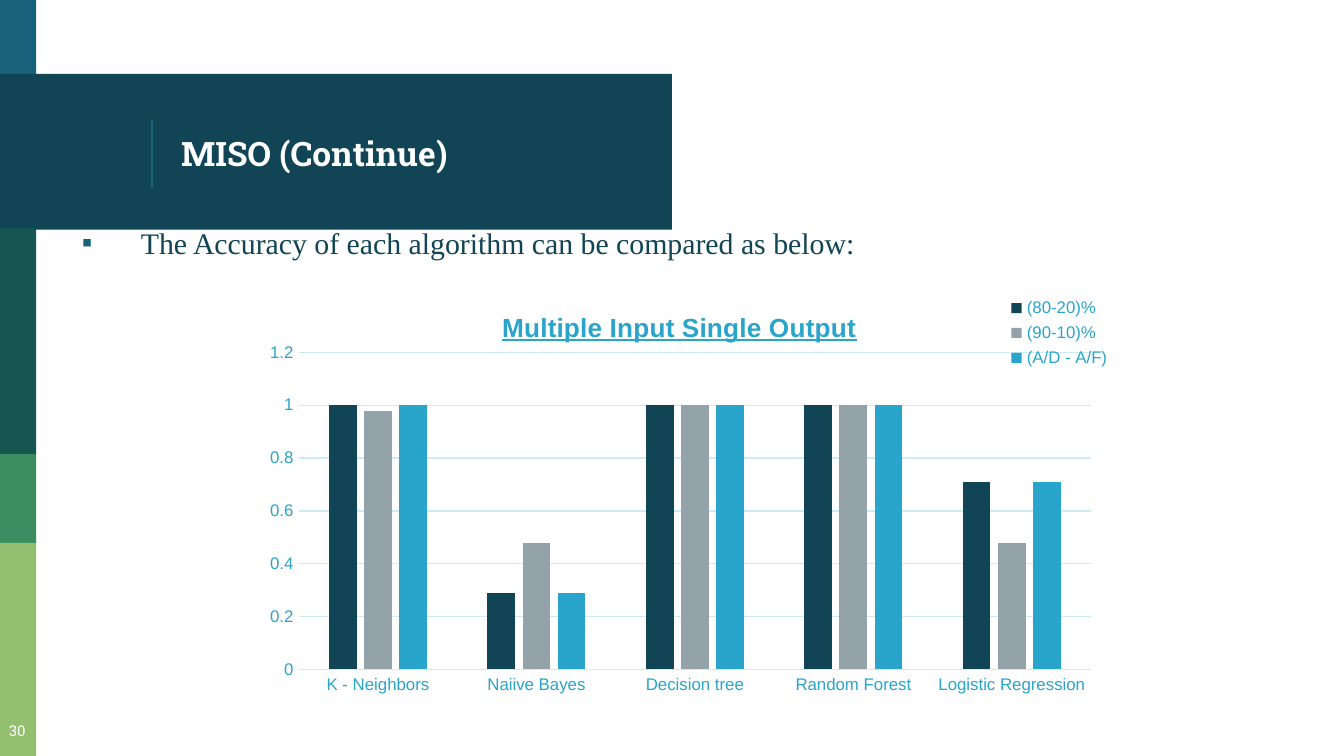
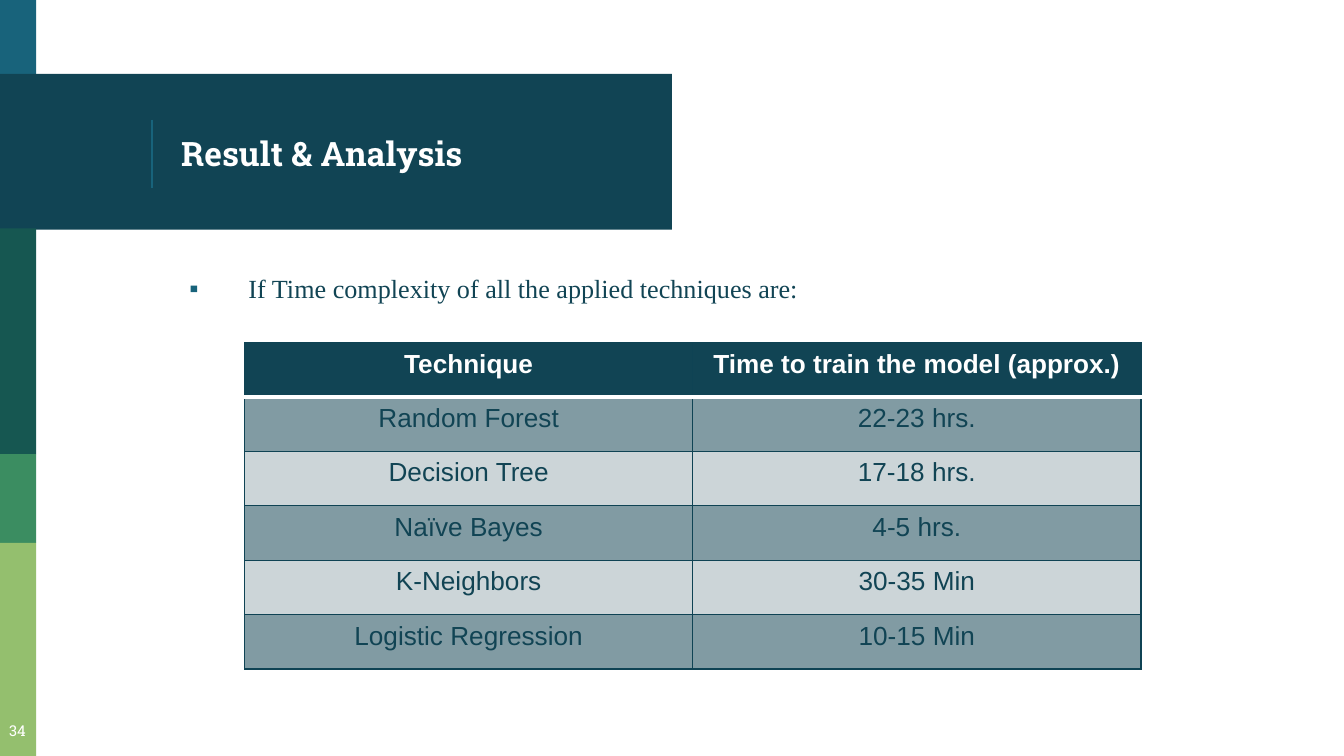
from dataclasses import dataclass

from lxml.etree import SubElement
from pptx import Presentation
from pptx.chart.data import CategoryChartData
from pptx.dml.color import RGBColor
from pptx.enum.chart import XL_CHART_TYPE as ChartType
from pptx.enum.chart import XL_LEGEND_POSITION as LegendPosition
from pptx.enum.chart import XL_TICK_MARK as TickMark
from pptx.enum.shapes import MSO_CONNECTOR as Connector
from pptx.enum.shapes import MSO_SHAPE as Shape
from pptx.enum.text import MSO_ANCHOR as Anchor
from pptx.enum.text import PP_ALIGN as Align
from pptx.oxml import parse_xml
from pptx.oxml.ns import nsdecls, qn
from pptx.util import Inches, Pt


@dataclass(frozen=True)
class Theme:
    navy: str = "114454"
    teal: str = "18637B"
    forest: str = "165751"
    green: str = "3B8D61"
    lime: str = "94BF6E"
    white: str = "FFFFFF"
    grey: str = "93A3A9"
    sky: str = "29A4CB"
    grid: str = "CCEBF5"
    border: str = "0F4354"
    dark_row: str = "819BA3"
    light_row: str = "CCD5D8"
    slab: str = "Roboto Slab"
    serif: str = "Times New Roman"
    sans: str = "Arial"
    title: int = 18
    lead: int = 16
    text: int = 14
    chart: int = 10
    axis: int = 9
    number: int = 8


def set_font(font, color, **values):
    for name, value in values.items():
        setattr(font, name, value)
    font.color.rgb = RGBColor.from_string(color)


def set_layout(parent, position, **values):
    found = parent.find(qn("c:layout"))
    if found is not None:
        parent.remove(found)
    entries = "".join(f'<c:{name} val="{value}"/>' for name, value in values.items())
    parent.insert(position, parse_xml(
        f'<c:layout {nsdecls("c")}><c:manualLayout>{entries}</c:manualLayout></c:layout>'))


class SlideBuilder:
    def __init__(self, deck, theme):
        self.deck = deck
        self.theme = theme
        self.page = None

    def start(self, title, number):
        theme = self.theme
        self.page = self.deck.slides.add_slide(self.deck.slide_layouts[6])
        for top, width, height, color in (
                (0, 0.27, 0.58, theme.teal),
                (0.55, 5, 1.16, theme.navy),
                (1.7, 0.27, 1.68, theme.forest),
                (3.38, 0.27, 0.66, theme.green),
                (4.04, 0.27, 1.59, theme.lime)):
            self.band(top, width, height, color)
        self.line((1.13, 0.89), (1.13, 1.4), theme.teal)
        self.text(title, (1.25, 0.58, 3.51, 1.12), theme.white, anchor=Anchor.MIDDLE,
                  name=theme.slab, size=Pt(theme.title), bold=True)
        self.text(str(number), (-0.06, 5.3, 0.38, 0.35), theme.white, align=Align.CENTER,
                  name=theme.slab, size=Pt(theme.number))

    def band(self, top, width, height, color):
        band = self.page.shapes.add_shape(
            Shape.RECTANGLE, 0, Inches(top), Inches(width), Inches(height))
        band.shadow.inherit = False
        band.fill.solid()
        band.fill.fore_color.rgb = RGBColor.from_string(color)
        band.line.fill.background()

    def line(self, begin, end, color):
        line = self.page.shapes.add_connector(
            Connector.STRAIGHT, *(Inches(value) for value in begin + end))
        line.line.color.rgb = RGBColor.from_string(color)
        line.line.width = Pt(0.75)
        SubElement(line._element.spPr, qn("a:effectLst"))

    def text(self, words, place, color, align=Align.LEFT, anchor=Anchor.TOP,
             bullet=False, **font):
        box = self.page.shapes.add_textbox(*(Inches(value) for value in place))
        frame = box.text_frame
        frame.word_wrap = True
        frame.vertical_anchor = anchor
        for side in ("left", "top", "right", "bottom"):
            setattr(frame, f"margin_{side}", Inches(0.1))
        para = frame.paragraphs[0]
        para.alignment = align
        if bullet:
            self.bullet(para)
        span = para.add_run()
        span.text = words
        set_font(span.font, color, **font)

    def bullet(self, para):
        properties = para._p.get_or_add_pPr()
        properties.set("marL", str(Inches(0.5)))
        properties.set("indent", str(Inches(-0.44)))
        color = SubElement(properties, qn("a:buClr"))
        SubElement(color, qn("a:srgbClr"), val=self.theme.teal)
        SubElement(properties, qn("a:buFont"), typeface=self.theme.sans)
        SubElement(properties, qn("a:buChar"), char="▪")

    def point(self, words, left, top, size):
        self.text(words, (left, top, 8.25, 3.45), self.theme.navy, bullet=True,
                  name=self.theme.serif, size=Pt(size))

    def chart(self, title, place, categories, series):
        theme = self.theme
        data = CategoryChartData()
        data.categories = categories
        for name, values, _ in series:
            data.add_series(name, values)
        chart = self.page.shapes.add_chart(
            ChartType.COLUMN_CLUSTERED, *(Inches(value) for value in place), data).chart
        set_font(chart.font, theme.navy, name=theme.sans, size=Pt(theme.chart))

        chart.has_title = True
        span = chart.chart_title.text_frame.paragraphs[0].add_run()
        span.text = title
        set_font(span.font, theme.sky, name=theme.sans, size=Pt(theme.text),
                 bold=True, underline=True)
        set_layout(chart.chart_title._element, 1, xMode="edge", yMode="edge", x=0.29, y=0.03)
        set_layout(chart._chartSpace.chart.plotArea, 0, layoutTarget="inner", xMode="edge",
                   yMode="edge", x=0.061, y=0.143, w=0.914, h=0.761)

        chart.has_legend = True
        chart.legend.position = LegendPosition.CORNER
        chart.legend.include_in_layout = True
        label = {"name": theme.sans, "size": Pt(theme.axis)}
        set_font(chart.legend.font, theme.sky, **label)

        for axis in (chart.category_axis, chart.value_axis):
            axis.major_tick_mark = axis.minor_tick_mark = TickMark.NONE
            set_font(axis.tick_labels.font, theme.sky, **label)
        scale = chart.value_axis
        for name, value in {"minimum_scale": 0, "maximum_scale": 1.2, "major_unit": 0.2}.items():
            setattr(scale, name, value)
        scale.format.line.fill.background()
        for line in (chart.category_axis.format.line, scale.major_gridlines.format.line):
            line.color.rgb = RGBColor.from_string(theme.grid)
            line.width = Pt(0.75)

        plot = chart.plots[0]
        for name, value in {"gap_width": 219, "overlap": -27, "vary_by_categories": False}.items():
            setattr(plot, name, value)
        for bars, (_, _, color) in zip(plot.series, series):
            bars.format.fill.solid()
            bars.format.fill.fore_color.rgb = RGBColor.from_string(color)

    def table(self, place, rows):
        theme = self.theme
        table = self.page.shapes.add_table(
            len(rows), len(rows[0]), *(Inches(value) for value in place)).table
        for number, row in enumerate(rows):
            header = number == 0
            if header:
                fill = theme.navy
            else:
                fill = theme.dark_row if number % 2 else theme.light_row
            for column, words in enumerate(row):
                cell = table.cell(number, column)
                cell.fill.solid()
                cell.fill.fore_color.rgb = RGBColor.from_string(fill)
                para = cell.text_frame.paragraphs[0]
                para.alignment = Align.CENTER
                span = para.add_run()
                span.text = words
                set_font(span.font, theme.white if header else theme.navy,
                         name=theme.sans, size=Pt(theme.text), bold=header)
                thin, thick = (theme.border, 0.75), (theme.white, 2)
                self.borders(cell, L=thin, R=thin, T=thick if number == 1 else thin,
                             B=thick if header else thin)

    def borders(self, cell, **sides):
        properties = cell._tc.get_or_add_tcPr()
        for position, (side, (color, width)) in enumerate(sides.items()):
            properties.insert(position, parse_xml(
                f'<a:ln{side} {nsdecls("a")} w="{Pt(width)}"><a:solidFill>'
                f'<a:srgbClr val="{color}"/></a:solidFill></a:ln{side}>'))


def main():
    deck = Presentation()
    deck.slide_width = Inches(10)
    deck.slide_height = Inches(10) * 9 // 16
    theme = Theme()
    builder = SlideBuilder(deck, theme)

    builder.start("MISO (Continue)", 30)
    builder.point("The Accuracy of each algorithm can be compared as below:",
                  0.45, 1.57, theme.lead)
    builder.chart(
        "Multiple Input Single Output", (1.83, 2.18, 6.45, 3.1),
        ("K - Neighbors", "Naiive Bayes", "Decision tree", "Random Forest",
         "Logistic Regression"),
        (("(80-20)%", (1, 0.29, 1, 1, 0.71), theme.navy),
         ("(90-10)%", (0.98, 0.48, 1, 1, 0.48), theme.grey),
         ("(A/D - A/F)", (1, 0.29, 1, 1, 0.71), theme.sky)))

    builder.start("Result & Analysis", 34)
    builder.point("If Time complexity of all the applied techniques are:",
                  1.25, 1.93, theme.text)
    builder.table((1.82, 2.55, 6.67, 2.43), (
        ("Technique", "Time to train the model (approx.)"),
        ("Random Forest", "22-23 hrs."),
        ("Decision Tree", "17-18 hrs."),
        ("Naïve Bayes", "4-5 hrs."),
        ("K-Neighbors", "30-35 Min"),
        ("Logistic Regression", "10-15 Min")))

    deck.save("out.pptx")


if __name__ == "__main__":
    main()
